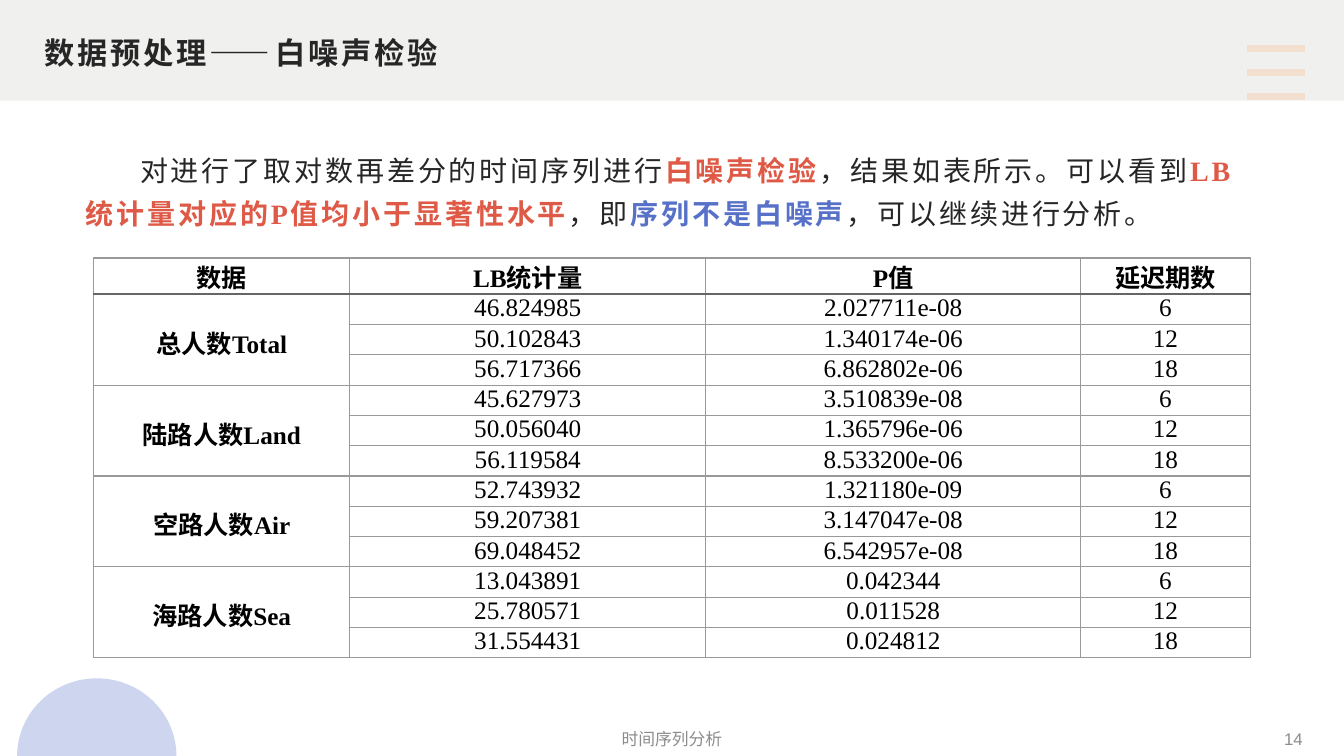
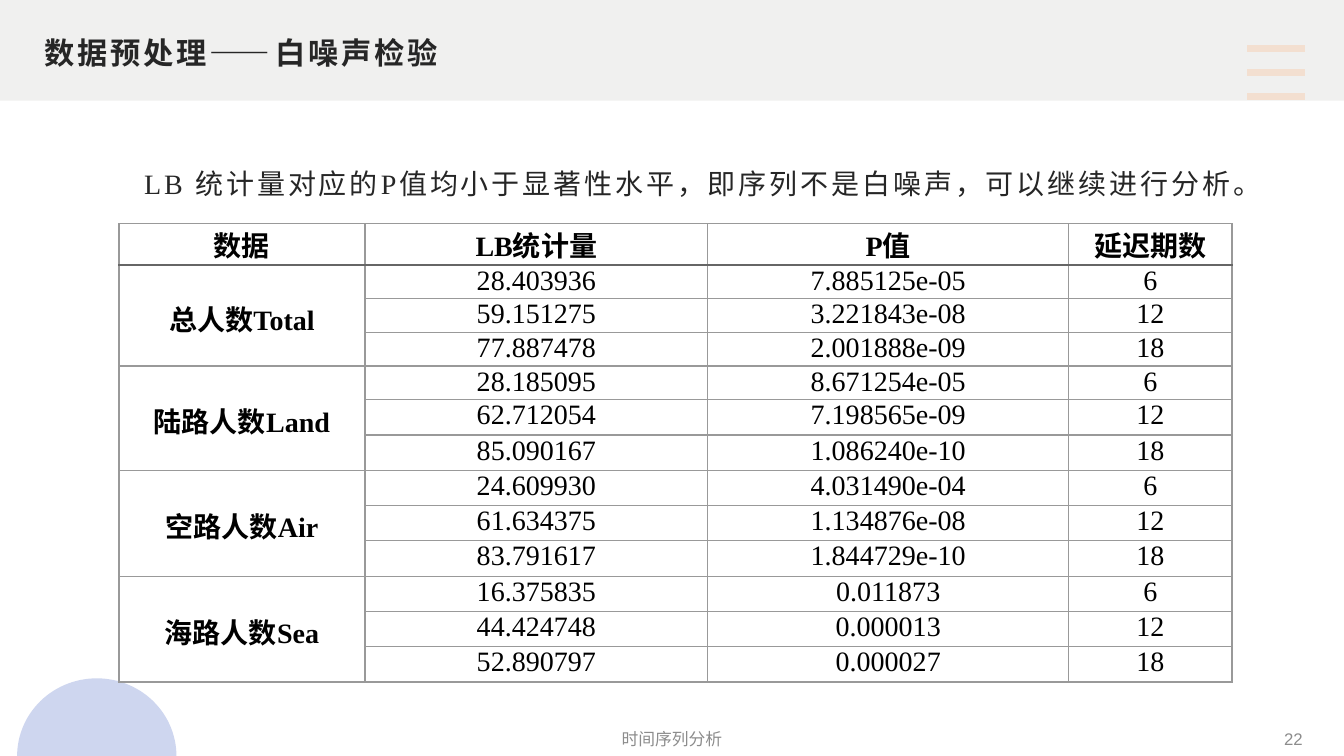
"""Build two slides that report white noise tests on time series."""
import dataclasses
import math

import lxml.etree
import pptx
import pptx.dml.color
import pptx.enum.lang
import pptx.enum.shapes
import pptx.enum.text
import pptx.oxml.ns
import pptx.util

Inches = pptx.util.Inches
ALIGN = pptx.enum.text.PP_ALIGN
MIDDLE = pptx.enum.text.MSO_ANCHOR.MIDDLE


@dataclasses.dataclass(frozen=True)
class Theme:
    """Colours, fonts and type sizes of the deck."""
    band: str = "F0F0EF"
    bars: str = "F3DFD0"
    dome: str = "9FAEE0"
    ink: str = "262626"
    black: str = "000000"
    red: str = "DE5A46"
    blue: str = "5771C9"
    grey: str = "8C8C8C"
    grid: str = "999999"
    rule: str = "666666"
    sans: str = "Arial"
    serif: str = "Times New Roman"
    head: float = 21.6
    body: float = 20
    foot: float = 12


THEME = Theme()
TITLE = "数据预处理——白噪声检验"
FOOTER = "时间序列分析"
HEADS = ["数据", "LB统计量", "P值", "延迟期数"]
GROUPS = ["总人数Total", "陆路人数Land", "空路人数Air", "海路人数Sea"]
LAGS = ["6", "12", "18"]

PAGES = [
    {
        "page": "14", "top": 1.42, "high": 0.91, "indent": 0.54,
        "text": [
            ("对进行了取对数再差分的时间序列进行", THEME.ink),
            ("白噪声检验", THEME.red),
            ("，结果如表所示。可以看到", THEME.ink),
            ("LB 统计量对应的P值均小于显著性水平", THEME.red),
            ("，即", THEME.ink),
            ("序列不是白噪声", THEME.blue),
            ("，可以继续进行分析。", THEME.ink),
        ],
        "at": (0.93, 2.56), "cols": [2.54, 3.53, 3.72, 1.68],
        "rows": [0.36] + [0.3] * 12, "size": 18,
        "tests": [
            ("46.824985", "2.027711e-08"), ("50.102843", "1.340174e-06"),
            ("56.717366", "6.862802e-06"), ("45.627973", "3.510839e-08"),
            ("50.056040", "1.365796e-06"), ("56.119584", "8.533200e-06"),
            ("52.743932", "1.321180e-09"), ("59.207381", "3.147047e-08"),
            ("69.048452", "6.542957e-08"), ("13.043891", "0.042344"),
            ("25.780571", "0.011528"), ("31.554431", "0.024812"),
        ],
    },
    {
        "page": "22", "top": 1.55, "high": 0.48, "indent": 0.58,
        "text": [("LB 统计量对应的P值均小于显著性水平，即序列不是白噪声，"
                  "可以继续进行分析。", THEME.ink)],
        "at": (1.18, 2.22), "cols": [2.44, 3.4, 3.58, 1.62],
        "rows": [0.41] + [0.33] * 4 + [0.35] * 8, "size": 20,
        "tests": [
            ("28.403936", "7.885125e-05"), ("59.151275", "3.221843e-08"),
            ("77.887478", "2.001888e-09"), ("28.185095", "8.671254e-05"),
            ("62.712054", "7.198565e-09"), ("85.090167", "1.086240e-10"),
            ("24.609930", "4.031490e-04"), ("61.634375", "1.134876e-08"),
            ("83.791617", "1.844729e-10"), ("16.375835", "0.011873"),
            ("44.424748", "0.000013"), ("52.890797", "0.000027"),
        ],
    },
]


def color(code):
    """Return the colour for a hex code."""
    return pptx.dml.color.RGBColor.from_string(code)


def add_node(parent, tag, **attrs):
    """Append a DrawingML element to a parent."""
    return lxml.etree.SubElement(parent, pptx.oxml.ns.qn(tag), attrs)


def style(run, size, face, ink, bold=False, track=0):
    """Format one run."""
    font = run.font
    font.size, font.name, font.bold = pptx.util.Pt(size), face, bold
    font.color.rgb = color(ink)
    font.language_id = pptx.enum.lang.MSO_LANGUAGE_ID.SIMPLIFIED_CHINESE
    if track:
        run._r.get_or_add_rPr().set("spc", str(track * 100))


def pad(frame, left, top, right, bottom):
    """Set the four insets of a text frame or cell."""
    frame.margin_left, frame.margin_top = Inches(left), Inches(top)
    frame.margin_right, frame.margin_bottom = Inches(right), Inches(bottom)


def paint(shape, code):
    """Give a shape a plain fill with no line or shadow."""
    shape.shadow.inherit = False
    shape.fill.solid()
    shape.fill.fore_color.rgb = color(code)
    shape.line.fill.background()


def add_band(slide):
    """Draw the title band."""
    band = slide.shapes.add_shape(pptx.enum.shapes.MSO_SHAPE.RECTANGLE,
                                  0, 0, Inches(13.33), Inches(1))
    paint(band, THEME.band)
    return band


def add_bar(slide, y):
    """Draw one short bar at the right of the band."""
    bar = slide.shapes.add_connector(
        pptx.enum.shapes.MSO_CONNECTOR.STRAIGHT,
        Inches(12.37), Inches(y), Inches(12.94), Inches(y))
    bar.line.color.rgb = color(THEME.bars)
    bar.line.width = pptx.util.Pt(5)
    add_node(bar._element.spPr, "a:effectLst")
    return bar


def add_dome(slide):
    """Draw the half disc at the bottom left."""
    turns = [math.pi * step / 60 for step in range(61)]
    points = [(Inches(0.96 - 0.79 * math.cos(turn)),
               Inches(7.5 - 0.77 * math.sin(turn))) for turn in turns]
    path = slide.shapes.build_freeform(*points[0])
    path.add_line_segments(points[1:], close=True)
    dome = path.convert_to_shape()
    paint(dome, THEME.dome)
    fill = dome._element.spPr.find(pptx.oxml.ns.qn("a:solidFill"))
    add_node(fill[0], "a:alpha", val="50000")
    return dome


def share_decor(slide, layout):
    """Draw the shared decor and move it to the layout."""
    bars = [add_bar(slide, 0.48 + 0.24 * step) for step in range(3)]
    decor = [add_band(slide), *bars, add_dome(slide)]
    for place, shape in enumerate(decor, 2):
        layout.shapes._spTree.insert(place, shape._element)


def set_title(slide):
    """Place and format the title."""
    title = slide.shapes.title
    title.left, title.top = Inches(0.33), Inches(0.28)
    title.width, title.height = Inches(5.22), Inches(0.48)
    frame = title.text_frame
    frame.text = TITLE
    frame.word_wrap, frame.vertical_anchor = True, MIDDLE
    pad(frame, 0.11, 0.04, 0.08, 0.04)
    para = frame.paragraphs[0]
    para.alignment = ALIGN.LEFT
    style(para.runs[0], THEME.head, THEME.sans, THEME.ink, True, 2)


def add_box(slide, left, top, width, height):
    """Add a wrapping text box and return its frame."""
    box = slide.shapes.add_textbox(Inches(left), Inches(top),
                                   Inches(width), Inches(height))
    box.text_frame.word_wrap = True
    return box.text_frame


def add_body(slide, data):
    """Write the paragraph above the table."""
    frame = add_box(slide, 0.74, data["top"], 11.85, data["high"])
    pad(frame, 0.11, 0, 0.09, 0)
    para = frame.paragraphs[0]
    para.line_spacing, para.space_after = 1.3, pptx.util.Pt(10)
    para._p.get_or_add_pPr().set("indent", str(Inches(data["indent"])))
    for text, ink in data["text"]:
        run = para.add_run()
        run.text = text
        style(run, THEME.body, THEME.serif, ink, ink != THEME.ink, 2)


def add_foot(slide, text, left, width, align):
    """Write one footer item."""
    frame = add_box(slide, left, 7.15, width, 0.35)
    frame.text, frame.vertical_anchor = text, MIDDLE
    para = frame.paragraphs[0]
    para.alignment = align
    style(para.runs[0], THEME.foot, THEME.sans, THEME.grey)


def set_edges(cell, row):
    """Draw cell borders, with a heavier rule below the header."""
    heavy = {0: "a:lnB", 1: "a:lnT"}.get(row)
    for tag in ("a:lnL", "a:lnR", "a:lnT", "a:lnB"):
        width, code = (1.5, THEME.rule) if tag == heavy else (1, THEME.grid)
        line = add_node(cell._tc.get_or_add_tcPr(), tag,
                        w=str(pptx.util.Pt(width)))
        add_node(add_node(line, "a:solidFill"), "a:srgbClr", val=code)


def set_cell(cell, text, size, row, bold):
    """Fill and format one table cell."""
    cell.text = text
    pad(cell, 0.07, 0, 0.07, 0)
    set_edges(cell, row)
    cell.fill.background()
    para = cell.text_frame.paragraphs[0]
    para.alignment = ALIGN.CENTER
    for run in para.runs:
        style(run, size, THEME.serif, THEME.black, bold)


def add_grid(slide, data):
    """Build the table of test results."""
    cols, rows, size = data["cols"], data["rows"], data["size"]
    left, top = data["at"]
    grid = slide.shapes.add_table(
        len(rows), len(cols), Inches(left), Inches(top),
        Inches(sum(cols)), Inches(sum(rows))).table
    grid.first_row = grid.horz_banding = False
    for col, width in zip(grid.columns, cols):
        col.width = Inches(width)
    for row, height in zip(grid.rows, rows):
        row.height = Inches(height)
    step = len(LAGS)
    lines = [HEADS]
    for index, test in enumerate(data["tests"]):
        name = "" if index % step else GROUPS[index // step]
        lines.append([name, *test, LAGS[index % step]])
    for row, line in enumerate(lines):
        for col, text in enumerate(line):
            set_cell(grid.cell(row, col), text, size, row,
                     row == 0 or col == 0)
    for row in range(1, len(rows), step):
        label = grid.cell(row, 0)
        label.merge(grid.cell(row + step - 1, 0))
        label.vertical_anchor, label.margin_top = MIDDLE, Inches(0.05)


def main():
    """Build and save the deck."""
    deck = pptx.Presentation()
    deck.slide_width, deck.slide_height = Inches(13.33), Inches(7.5)
    layout = deck.slide_layouts.get_by_name("Title Only")
    for index, data in enumerate(PAGES):
        slide = deck.slides.add_slide(layout)
        if index == 0:
            share_decor(slide, layout)
        set_title(slide)
        add_body(slide, data)
        add_grid(slide, data)
        add_foot(slide, FOOTER, 4.5, 4.33, ALIGN.CENTER)
        add_foot(slide, data["page"], 10.07, 2.95, ALIGN.RIGHT)
    deck.save("out.pptx")


if __name__ == "__main__":
    main()
